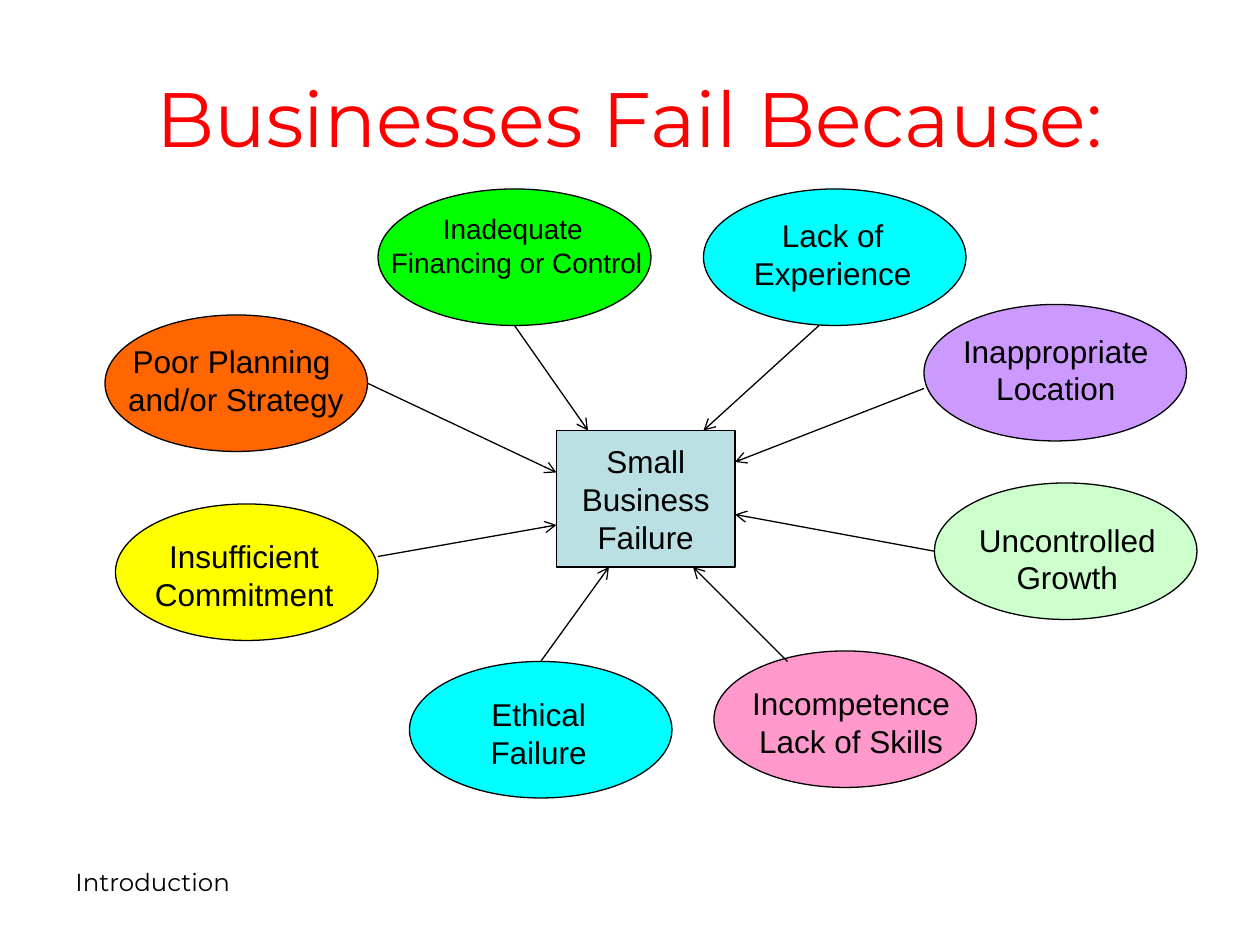
from pptx import Presentation
from pptx.dml.color import RGBColor
from pptx.enum.shapes import MSO_CONNECTOR, MSO_SHAPE
from pptx.enum.text import MSO_ANCHOR, MSO_AUTO_SIZE, PP_ALIGN
from pptx.oxml.ns import qn
from pptx.util import Inches, Pt
from lxml import etree

RECT, OVAL = MSO_SHAPE.RECTANGLE, MSO_SHAPE.OVAL
STRAIGHT = MSO_CONNECTOR.STRAIGHT
LEFT, CENTER = PP_ALIGN.LEFT, PP_ALIGN.CENTER
TOP, MIDDLE = MSO_ANCHOR.TOP, MSO_ANCHOR.MIDDLE
GROW = MSO_AUTO_SIZE.SHAPE_TO_FIT_TEXT

WIDTH, HEIGHT = Inches(10), Inches(7.5)
COLS, ROWS = 120, 90
OVAL_W, OVAL_H = 25, 13
LABEL_H = 8.4
BLACK = "000000"
BODY = {"name": "Arial", "size": 18, "color": BLACK}
SMALL = {**BODY, "size": 16}
TITLE = {"name": "Montserrat", "size": 44, "color": "FF0000"}
FOOTER = {"name": "Montserrat", "size": 14, "color": BLACK}

REASONS = [
    ((10, 30, OVAL_W), "FF6600", (9.9, 32, 24.3, LABEL_H),
     ["Poor Planning", " and/or Strategy"], BODY, (35, 36.5, 53, 45)),
    ((36, 18, 26), "00FF00", (35.8, 19.6, 26.8, 7.7),
     ["Inadequate ", "Financing or Control"], SMALL, (49, 31, 56, 41)),
    ((67, 18, OVAL_W), "00FFFF", (70.4, 20, 17.8, LABEL_H),
     ["Lack of", "Experience"], BODY, (78, 31, 67, 41)),
    ((88, 29, OVAL_W), "CC99FF", (90.3, 31, 20.5, LABEL_H),
     ["Inappropriate", "Location"], BODY, (88, 37, 70, 44)),
    ((89, 46, OVAL_W), "CCFFCC", (91.8, 49, 19.7, LABEL_H),
     ["Uncontrolled", "Growth"], BODY, (89, 52.5, 70, 49)),
    ((68, 62, OVAL_W), "FF99CC", (70.2, 64.6, 21.7, LABEL_H),
     ["Incompetence", "Lack of Skills"], BODY, (75, 63, 66, 54)),
    ((39, 63, OVAL_W), "00FFFF", (45.3, 65.6, 12, LABEL_H),
     ["Ethical", "Failure"], BODY, (51.5, 63, 58, 54)),
    ((11, 48, OVAL_W), "FFFF00", (13.3, 50.6, 19.9, LABEL_H),
     ["Insufficient", "Commitment"], BODY, (36, 53, 53, 50)),
]


def rgb(color):
    return RGBColor.from_string(color)


def grid(*cells):
    units = (WIDTH / COLS, HEIGHT / ROWS) * (len(cells) // 2)
    return [round(c * u) for c, u in zip(cells, units)]


def write(sp, lines, fmt, align=CENTER, **frame):
    tf = sp.text_frame
    for key, value in frame.items():
        setattr(tf, key, value)
    for i, line in enumerate(lines):
        p = tf.paragraphs[0] if i == 0 else tf.add_paragraph()
        p.alignment = align
        r = p.add_run()
        r.text = line
        for key, value in {"name": fmt["name"], "size": Pt(fmt["size"])}.items():
            setattr(r.font, key, value)
        r.font.color.rgb = rgb(fmt["color"])


def add_text(s, box, lines, fmt, align=CENTER, **frame):
    write(s.shapes.add_textbox(*grid(*box)), lines, fmt, align, **frame)


def outline(line):
    line.color.rgb = rgb(BLACK)
    line.width = Pt(0.75)


def add_filled(s, kind, box, fill):
    sp = s.shapes.add_shape(kind, *grid(*box))
    sp.shadow.inherit = False
    sp.fill.solid()
    sp.fill.fore_color.rgb = rgb(fill)
    outline(sp.line)
    return sp


def add_arrow(s, ends):
    sp = s.shapes.add_connector(STRAIGHT, *grid(*ends))
    outline(sp.line)
    ln = sp.line._get_or_add_ln()
    etree.SubElement(ln, qn("a:tailEnd"), type="arrow")
    etree.SubElement(sp._element.spPr, qn("a:effectLst"))


def main():
    prs = Presentation()
    prs.slide_width, prs.slide_height = WIDTH, HEIGHT
    s = prs.slides.add_slide(prs.slide_layouts[6])
    add_text(s, (6, 82, 28, 6.2), ["Introduction"], FOOTER, LEFT,
             word_wrap=True, vertical_anchor=TOP)
    add_text(s, (6, 3.6, 108, 15), ["Businesses Fail Because:"], TITLE,
             word_wrap=True, vertical_anchor=MIDDLE)
    center = add_filled(s, RECT, (53, 41, 17, 13), "BBE0E3")
    write(center, ["Small", "Business", "Failure"], BODY,
          word_wrap=False, vertical_anchor=MIDDLE)
    for oval, fill, label, lines, fmt, ends in REASONS:
        add_filled(s, OVAL, (*oval, OVAL_H), fill)
        add_text(s, label, lines, fmt, word_wrap=False, auto_size=GROW)
        add_arrow(s, ends)
    prs.save("out.pptx")


if __name__ == "__main__":
    main()
